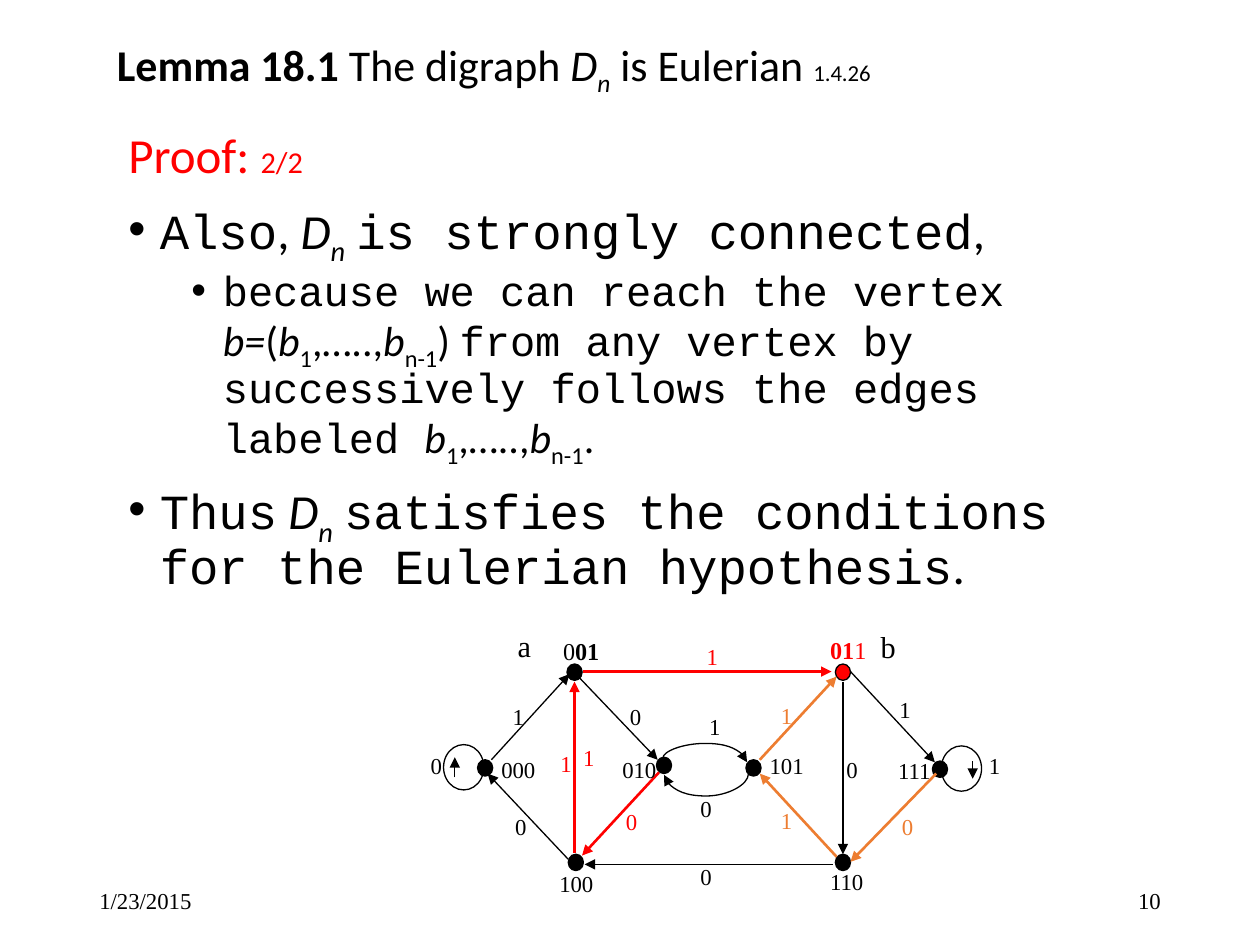
from typing import NamedTuple

from lxml import etree
from pptx import Presentation
from pptx.dml.color import RGBColor
from pptx.enum import shapes, text
from pptx.oxml import ns
from pptx.util import Inches, Pt

BLACK = RGBColor(0x00, 0x00, 0x00)
RED = RGBColor(0xFF, 0x00, 0x00)
ORANGE = RGBColor(0xED, 0x7D, 0x31)
SERIF, SANS, MONO = "Times New Roman", "Calibri", "Courier New"
DOT_WIDTH, DOT_HEIGHT = 0.12, 0.13
LOOP_WIDTH, LOOP_HEIGHT = 0.32, 0.36
VERTEX_WIDTH, VERTEX_HEIGHT = 0.52, 0.33


class Span(NamedTuple):
    words: str
    size: float = 13
    name: str = SERIF
    color: RGBColor = BLACK
    bold: bool = False
    italic: bool = False
    subscript: bool = False


class Para(NamedTuple):
    spans: list[Span]
    level: int = 0
    margin: float = 0
    hanging: float = 0
    before: float = 0
    spacing: float = 1
    bullet: bool = False
    align: text.PP_ALIGN = text.PP_ALIGN.LEFT


class Edge(NamedTuple):
    start: tuple[float, float]
    end: tuple[float, float]
    color: RGBColor = BLACK


class Arc(NamedTuple):
    left: float
    top: float
    width: float
    height: float
    flipped: bool
    bend: int


class Label(NamedTuple):
    words: str
    left: float
    top: float
    color: RGBColor = BLACK
    size: float = 13


class Vertex(NamedTuple):
    spans: list[Span]
    left: float
    top: float


deck = Presentation()
deck.slide_width, deck.slide_height = Inches(10), Inches(7.5)
page = deck.slides.add_slide(deck.slide_layouts[6])


def add_text(left: float, top: float, width: float, height: float, paras: list[Para],
             anchor: text.MSO_ANCHOR = text.MSO_ANCHOR.TOP) -> None:
    box = page.shapes.add_textbox(Inches(left), Inches(top), Inches(width), Inches(height))
    frame = box.text_frame
    frame.word_wrap, frame.vertical_anchor = True, anchor
    for index, item in enumerate(paras):
        para = frame.paragraphs[0] if index == 0 else frame.add_paragraph()
        settings = {"level": item.level, "alignment": item.align,
                    "line_spacing": item.spacing, "space_before": Pt(item.before)}
        for key, value in settings.items():
            setattr(para, key, value)
        props = para._p.get_or_add_pPr()
        props.set("marL", str(Inches(item.margin)))
        props.set("indent", str(Inches(-item.hanging)))
        if item.bullet:
            etree.SubElement(props, ns.qn("a:buFont"), typeface="Arial")
            etree.SubElement(props, ns.qn("a:buChar"), char="•")
        else:
            etree.SubElement(props, ns.qn("a:buNone"))
        for piece in item.spans:
            span = para.add_run()
            span.text = piece.words
            formats = {"size": Pt(piece.size), "name": piece.name,
                       "bold": piece.bold, "italic": piece.italic}
            for key, value in formats.items():
                setattr(span.font, key, value)
            span.font.color.rgb = piece.color
            if piece.subscript:
                span._r.get_or_add_rPr().set("baseline", "-25000")


def finish_arrow(connector, color: RGBColor) -> None:
    connector.line.color.rgb = color
    connector.line.width = Pt(0.75 if color == BLACK else 1.5)
    etree.SubElement(connector.line._get_or_add_ln(), ns.qn("a:tailEnd"), type="triangle")
    etree.SubElement(connector._element.spPr, ns.qn("a:effectLst"))


def add_edge(edge: Edge) -> None:
    points = [Inches(value) for value in edge.start + edge.end]
    finish_arrow(page.shapes.add_connector(shapes.MSO_CONNECTOR.STRAIGHT, *points), edge.color)


def add_arc(arc: Arc) -> None:
    ys = [arc.top, arc.top + arc.height]
    if arc.flipped:
        ys.reverse()
    connector = page.shapes.add_connector(
        shapes.MSO_CONNECTOR.CURVE, Inches(arc.left), Inches(ys[0]),
        Inches(arc.left + arc.width), Inches(ys[1]))
    props = connector._element.spPr
    props.find(ns.qn("a:xfrm")).set("rot", str(90 * 60000))
    geometry = props.find(ns.qn("a:prstGeom"))
    for old in geometry.findall(ns.qn("a:avLst")):
        geometry.remove(old)
    adjustments = etree.SubElement(geometry, ns.qn("a:avLst"))
    etree.SubElement(adjustments, ns.qn("a:gd"), name="adj1", fmla=f"val {arc.bend}")
    finish_arrow(connector, BLACK)


def add_oval(left: float, top: float, width: float, height: float,
             fill: RGBColor | None = None) -> None:
    oval = page.shapes.add_shape(shapes.MSO_SHAPE.OVAL, Inches(left), Inches(top),
                                 Inches(width), Inches(height))
    oval.shadow.inherit = False
    if fill is None:
        oval.fill.background()
    else:
        oval.fill.solid()
        oval.fill.fore_color.rgb = fill
    oval.line.color.rgb = BLACK
    oval.line.width = Pt(0.75)


# Footer and title
MIDDLE = text.MSO_ANCHOR.MIDDLE
add_text(0.69, 6.95, 2.25, 0.4, [Para([Span("1/23/2015")])], MIDDLE)
add_text(7.06, 6.95, 2.25, 0.4, [Para([Span("10")], align=text.PP_ALIGN.RIGHT)], MIDDLE)
heading = Span("", 25.1, SANS)
add_text(0.83, 0.13, 8.31, 0.78, [Para([
    heading._replace(words="Lemma 18.1 ", bold=True),
    heading._replace(words="The digraph "),
    heading._replace(words="D", italic=True),
    heading._replace(words="n", italic=True, subscript=True),
    heading._replace(words=" is Eulerian "),
    heading._replace(words="1.4.26", size=13),
], margin=0.4, hanging=0.4, spacing=0.9)], MIDDLE)

# Proof
gap = Span(" ", 28, SANS)
digraph = [Span("D", 28, SANS, italic=True), Span("n", 28, SANS, italic=True, subscript=True), gap]
small = Span("", 24, SANS)
sequence = [small._replace(words="b", italic=True), small._replace(words="1", subscript=True),
            small._replace(words=",…..,"), small._replace(words="b", italic=True),
            small._replace(words="n-1", subscript=True)]
point = Para([], margin=0.25, hanging=0.25, before=10, spacing=0.9, bullet=True)
add_text(0.92, 0.99, 8.22, 3.59, [
    point._replace(bullet=False, spans=[Span("Proof: ", 28, SANS, RED),
                                        Span("2/2", 17.3, SANS, RED)]),
    point._replace(spans=[Span("Also", 28, MONO), Span(", ", 28, SANS), *digraph,
                          Span("is strongly connected", 28, MONO), Span(", ", 28, SANS)]),
    point._replace(level=1, margin=0.75, before=5, spans=[
        Span("because we can reach the vertex ", 24, MONO),
        small._replace(words="b=", italic=True), small._replace(words="("), *sequence,
        small._replace(words=") "),
        Span("from any vertex by successively follows the edges labeled ", 24, MONO),
        *sequence, small._replace(words=". ")]),
    point._replace(spans=[Span("Thus", 28, MONO), gap, *digraph,
                          Span("satisfies the conditions for the Eulerian hypothesis", 28, MONO),
                          Span(".", 28, SANS)]),
])

# Vertices and self-loops
for left, top in [(4.5, 5.27), (4.51, 6.78), (6.63, 6.78), (5.21, 6.01), (5.92, 6.03),
                  (3.79, 6.03), (7.4, 6.04)]:
    add_oval(left, top, DOT_WIDTH, DOT_HEIGHT, BLACK)
add_oval(6.63, 5.27, DOT_WIDTH, DOT_HEIGHT, RED)
for left, top in [(3.52, 5.91), (7.47, 5.92)]:
    add_oval(left, top, LOOP_WIDTH, LOOP_HEIGHT)

# Edges
for edge in [
    Edge((4.63, 5.33), (6.6, 5.33), RED), Edge((6.61, 6.86), (4.64, 6.86)),
    Edge((6.69, 5.41), (6.69, 6.78)), Edge((4.56, 6.77), (4.56, 5.41), RED),
    Edge((4.59, 5.37), (5.22, 6.03)), Edge((5.23, 6.13), (4.62, 6.79), RED),
    Edge((6.03, 6.03), (6.64, 5.37), ORANGE), Edge((6.64, 6.8), (6.03, 6.14), ORANGE),
    Edge((3.9, 6.03), (4.52, 5.35)), Edge((4.51, 6.82), (3.87, 6.14)),
    Edge((6.75, 5.33), (7.42, 6.05)), Edge((7.43, 6.14), (6.75, 6.84), ORANGE),
    Edge((3.61, 6.17), (3.61, 6.01)), Edge((7.72, 6.04), (7.72, 6.18)),
]:
    add_edge(edge)
add_arc(Arc(5.58, 5.7, 0.03, 0.67, True, -400000))
add_arc(Arc(5.6, 5.81, 0.01, 0.67, False, 1800000))

# Edge labels and names of the end vertices
for label in [
    Label("0", 3.32, 5.92), Label("0", 3.99, 6.4), Label("0", 4.87, 6.36, RED),
    Label("0", 4.9, 5.53), Label("0", 5.46, 6.8), Label("0", 5.46, 6.26),
    Label("0", 6.62, 5.95), Label("0", 7.06, 6.4, ORANGE), Label("1", 3.97, 5.53),
    Label("1", 4.35, 5.9, RED), Label("1", 5.53, 5.61), Label("1", 6.1, 5.52, ORANGE),
    Label("1", 7.04, 5.47), Label("1", 7.75, 5.92), Label("1", 6.1, 6.35, ORANGE),
    Label("1", 5.51, 5.05, RED), Label("1", 4.53, 5.85, RED),
    Label("a", 4.01, 4.93, size=17.3), Label("b", 6.89, 4.94, size=17.3),
]:
    width, height = (0.3, 0.39) if label.size > 13 else (0.23, 0.32)
    add_text(label.left, label.top, width, height,
             [Para([Span(label.words, label.size, color=label.color)])])

# Vertex labels
for vertex in [
    Vertex([Span("0", 13.8), Span("01", 13.8, bold=True)], 4.37, 5),
    Vertex([Span("01", 13.8, color=RED, bold=True), Span("1", 13.8, color=RED)], 6.49, 4.99),
    Vertex([Span("000")], 3.88, 5.95), Vertex([Span("100")], 4.34, 6.85),
    Vertex([Span("010")], 4.84, 5.95), Vertex([Span("101")], 6.01, 5.92),
    Vertex([Span("110")], 6.49, 6.84), Vertex([Span("111")], 7.03, 5.96),
]:
    add_text(vertex.left, vertex.top, VERTEX_WIDTH, VERTEX_HEIGHT, [Para(vertex.spans)])

deck.save("out.pptx")
